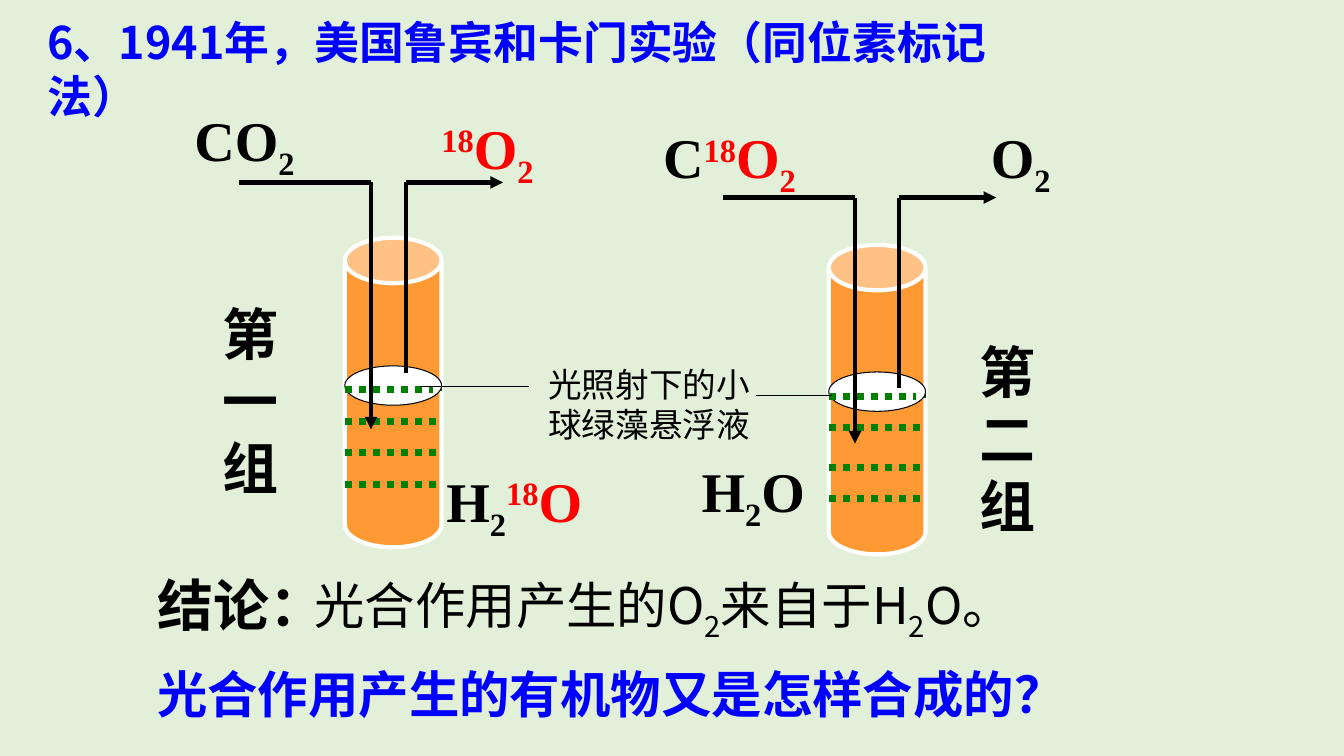
from dataclasses import dataclass

from lxml import etree
from pptx import Presentation
from pptx.dml.color import RGBColor
from pptx.enum.dml import MSO_LINE
from pptx.enum.shapes import MSO_CONNECTOR, MSO_SHAPE
from pptx.enum.text import MSO_ANCHOR, MSO_AUTO_SIZE, PP_ALIGN
from pptx.oxml.ns import qn
from pptx.util import Inches, Pt

STRAIGHT = MSO_CONNECTOR.STRAIGHT
CAN, OVAL = MSO_SHAPE.CAN, MSO_SHAPE.OVAL
DOTTED = MSO_LINE.ROUND_DOT
TOP, LEFT, NO_AUTOFIT = MSO_ANCHOR.TOP, PP_ALIGN.LEFT, MSO_AUTO_SIZE.NONE

SERIF, SANS = "Times New Roman", "Noto Sans CJK SC"
BLACK, WHITE, RED, BLUE = "000000", "FFFFFF", "FF0000", "0000FF"
ORANGE, GREEN, DARK_GREEN, PALE_GREEN = "FF9933", "008000", "006600", "E2F0D9"
SUPER, SUB = 30, -25
TUBE_WIDTH, TUBE_HEIGHT = 0.96, 3.07


@dataclass
class Piece:
    text: str
    color: str = BLACK
    baseline: int = 0


@dataclass
class Label:
    box: tuple[float, float, float, float]
    pieces: list[Piece]
    size: int = 40
    font: str = SERIF
    bold: bool = True
    line_spacing: float = 1.0


@dataclass
class Tube:
    left: float
    top: float
    surface_top: float
    dots: list[float]
    pipe_top: float
    inlet_start: float
    inlet_x: float
    inlet_bottom: float
    outlet_x: float
    outlet_bottom: float


TWO = Piece("2", baseline=SUB)
RED_TWO = Piece("2", RED, SUB)
RED_18 = Piece("18", RED, SUPER)
RED_O = Piece("O", RED)

TUBES = [
    Tube(3.42, 2.36, 3.63, [4.81, 4.49, 4.18, 3.86], 1.81, 2.37, 3.68, 4.26, 4.03, 3.7),
    Tube(8.22, 2.43, 3.69, [4.95, 4.64, 4.24, 3.93], 1.96, 7.17, 8.48, 4.4, 8.92, 3.85),
]
TITLE = Label((0.37, 0.1, 9.92, 0.63),
              [Piece("6、1941年，美国鲁宾和卡门实验（同位素标记法）", BLUE)], 32, SANS)
LABELS = [
    Label((4.28, 1.08, 1.57, 0.77), [RED_18, RED_O, RED_TWO]),
    Label((9.73, 1.17, 1.1, 0.77), [Piece("O"), TWO]),
    Label((1.83, 1, 2.38, 0.77), [Piece("CO"), TWO]),
    Label((9.62, 3.3, 1.05, 2.1), [Piece("第二组")]),
    Label((2.11, 2.92, 1.05, 2.1), [Piece("第一组")]),
    Label((6.48, 1.17, 2.36, 0.77), [Piece("C"), RED_18, RED_O, RED_TWO]),
    Label((4.33, 4.58, 2.27, 0.77), [Piece("H"), TWO, RED_18, RED_O]),
    Label((6.86, 4.48, 2.27, 0.77), [Piece("H"), TWO, Piece("O")]),
    Label((5.34, 3.56, 2.33, 0.91), [Piece("光照射下的小球绿藻悬浮液")], 24, SANS, False),
    Label((3.02, 5.65, 8.27, 0.71),
          [Piece("光合作用产生的O"), TWO, Piece("来自于H"), TWO, Piece("O。")], 36, SANS, False),
    Label((1.46, 5.61, 1.85, 0.77), [Piece("结论：")], 40, SANS),
    Label((1.46, 6.35, 9.67, 0.8), [Piece("光合作用产生的有机物又是怎样合成的？", BLUE)],
          36, line_spacing=1.3),
]


def rgb(color: str) -> RGBColor:
    return RGBColor.from_string(color)


def write_label(shape, label: Label) -> None:
    shape.left, shape.top, shape.width, shape.height = map(Inches, label.box)
    frame = shape.text_frame
    frame.auto_size = NO_AUTOFIT
    frame.word_wrap = True
    frame.vertical_anchor = TOP
    paragraph = frame.paragraphs[0]
    paragraph.alignment = LEFT
    paragraph.line_spacing = label.line_spacing
    for piece in label.pieces:
        run = paragraph.add_run()
        run.text = piece.text
        run.font.size = Pt(label.size)
        run.font.bold = label.bold
        run.font.name = label.font
        run.font.color.rgb = rgb(piece.color)
        properties = run._r.get_or_add_rPr()
        etree.SubElement(properties, qn("a:ea")).set("typeface", SANS)
        if piece.baseline:
            properties.set("baseline", str(piece.baseline * 1000))


def add_line(slide, start: tuple[float, float], end: tuple[float, float], color: str = BLACK,
             width: float = 3, dotted: bool = False, arrow: bool = False) -> None:
    connector = slide.shapes.add_connector(STRAIGHT, *map(Inches, start + end))
    connector.line.color.rgb = rgb(color)
    connector.line.width = Pt(width)
    if dotted:
        connector.line.dash_style = DOTTED
    if arrow:
        outline = connector.line._get_or_add_ln()
        etree.SubElement(outline, qn("a:tailEnd")).set("type", "triangle")
    etree.SubElement(connector._element.spPr, qn("a:effectLst"))


def add_solid(slide, kind, box: tuple[float, float, float, float], fill: str,
              outline: str, width: float):
    shape = slide.shapes.add_shape(kind, *map(Inches, box))
    shape.shadow.inherit = False
    shape.fill.solid()
    shape.fill.fore_color.rgb = rgb(fill)
    shape.line.color.rgb = rgb(outline)
    shape.line.width = Pt(width)
    return shape


def add_tube(slide, tube: Tube) -> None:
    left, right = tube.left, tube.left + TUBE_WIDTH
    body = add_solid(slide, CAN, (left, tube.top, TUBE_WIDTH, TUBE_HEIGHT), ORANGE, WHITE, 3)
    body.adjustments[0] = 0.469
    *deep_rows, surface_row = tube.dots
    for y in deep_rows:
        add_line(slide, (left, y), (right, y), GREEN, 5, dotted=True)
    add_line(slide, (left, surface_row), (right, surface_row), DARK_GREEN, 3, dotted=True)
    add_solid(slide, OVAL, (left, tube.surface_top, TUBE_WIDTH, 0.39), WHITE, BLACK, 0.75)
    add_line(slide, (left, surface_row), (right - 0.09, surface_row), GREEN, 5, dotted=True)


def add_pipes(slide, tube: Tube) -> None:
    inlet_corner = (tube.inlet_x, tube.pipe_top)
    outlet_corner = (tube.outlet_x, tube.pipe_top)
    add_line(slide, (tube.inlet_start, tube.pipe_top), inlet_corner)
    add_line(slide, inlet_corner, (tube.inlet_x, tube.inlet_bottom), arrow=True)
    add_line(slide, (tube.outlet_x, tube.outlet_bottom), outlet_corner)
    add_line(slide, outlet_corner, (tube.outlet_x + 0.96, tube.pipe_top), arrow=True)


def main() -> None:
    presentation = Presentation()
    presentation.slide_width, presentation.slide_height = Inches(13.33), Inches(7.5)
    slide = presentation.slides.add_slide(presentation.slide_layouts[5])
    slide.background.fill.solid()
    slide.background.fill.fore_color.rgb = rgb(PALE_GREEN)

    write_label(slide.shapes.title, TITLE)
    for tube in TUBES:
        add_tube(slide, tube)
        add_pipes(slide, tube)
    add_line(slide, (4.17, 3.83), (5.25, 3.83), width=0.75)
    add_line(slide, (7.5, 3.92), (8.25, 3.92), width=0.75)
    for label in LABELS:
        write_label(slide.shapes.add_textbox(0, 0, 0, 0), label)
    presentation.save("out.pptx")


if __name__ == "__main__":
    main()
